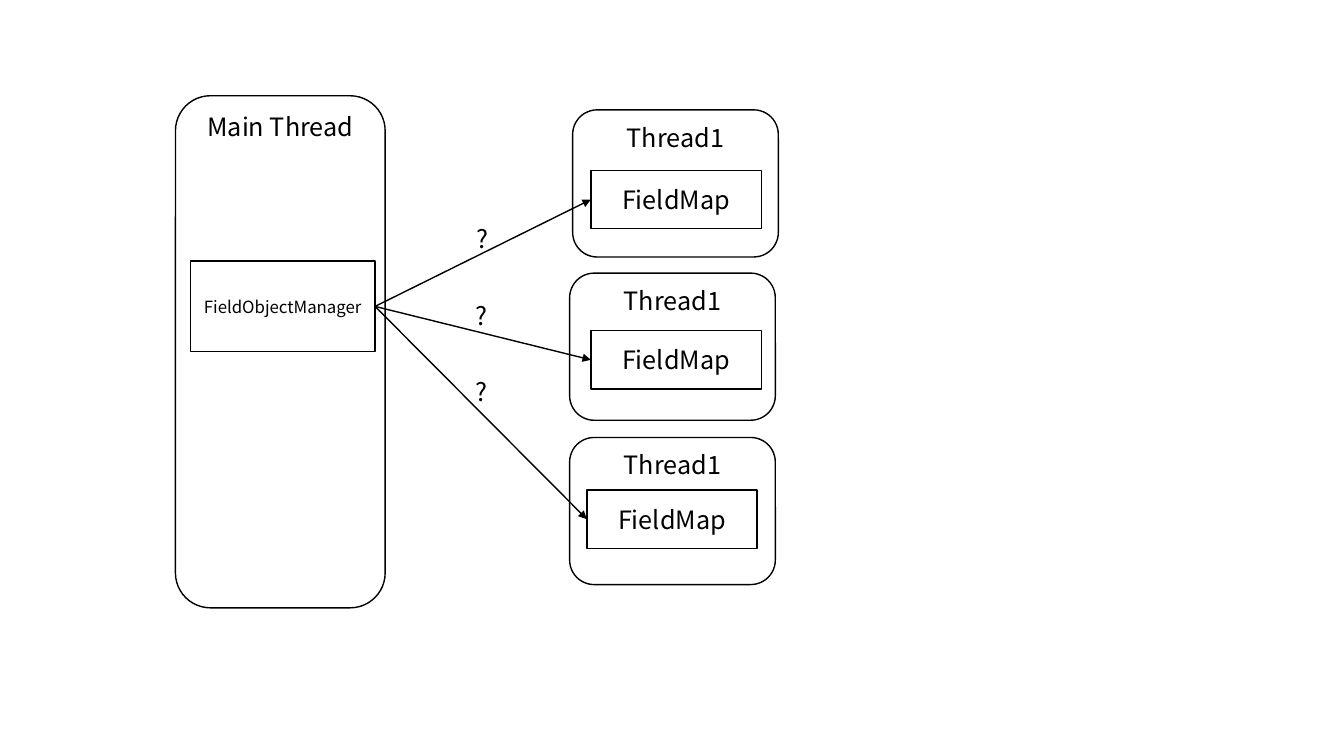
from lxml.etree import SubElement
from pptx import Presentation
from pptx.dml.color import RGBColor
from pptx.enum.shapes import MSO_CONNECTOR, MSO_SHAPE
from pptx.enum.text import MSO_ANCHOR, MSO_AUTO_SIZE, PP_ALIGN
from pptx.oxml.ns import qn
from pptx.util import Inches, Pt

FONT = "Noto Sans CJK KR"
BLACK = "000000"
WHITE = "FFFFFF"
RIGHT_SITE, LEFT_SITE = 3, 1
THREADS = [
    (5.68, 1.09, 5.86, 1.69, 4.63, 2.17),
    (5.65, 2.71, 5.86, 3.28, 4.62, 2.93),
    (5.65, 4.34, 5.82, 4.86, 4.62, 3.68),
]


def color(value):
    """Turn a hex string into a colour."""
    return RGBColor.from_string(value)


def write(shape, text, size, alignment):
    """Write one styled run into a shape."""
    paragraph = shape.text_frame.paragraphs[0]
    paragraph.alignment = alignment
    run = paragraph.add_run()
    run.text = text
    run.font.name = FONT
    run.font.size = Pt(size)
    run.font.color.rgb = color(BLACK)


def style_line(line):
    """Give a line the common black stroke."""
    line.color.rgb = color(BLACK)
    line.width = Pt(1)


def add_box(slide, kind, bounds, text, size, anchor):
    """Add an outlined white box with centred text."""
    shape = slide.shapes.add_shape(kind, *map(Inches, bounds))
    shape.shadow.inherit = False
    shape.fill.solid()
    shape.fill.fore_color.rgb = color(WHITE)
    style_line(shape.line)
    shape.text_frame.word_wrap = True
    shape.text_frame.vertical_anchor = anchor
    write(shape, text, size, PP_ALIGN.CENTER)
    return shape


def add_thread(slide, bounds, title):
    """Add a rounded thread frame titled at its top."""
    return add_box(slide, MSO_SHAPE.ROUNDED_RECTANGLE, bounds, title, 18, MSO_ANCHOR.TOP)


def add_object(slide, bounds, name, size):
    """Add a rectangle for an object living in a thread."""
    return add_box(slide, MSO_SHAPE.RECTANGLE, bounds, name, size, MSO_ANCHOR.MIDDLE)


def add_arrow(slide, source, target):
    """Connect the right side of one box to the left side of another."""
    connector = slide.shapes.add_connector(MSO_CONNECTOR.STRAIGHT, 0, 0, 0, 0)
    connector.begin_connect(source, RIGHT_SITE)
    connector.end_connect(target, LEFT_SITE)
    style_line(connector.line)
    properties = connector._element.spPr
    SubElement(properties.find(qn("a:ln")), qn("a:tailEnd"), type="triangle")
    SubElement(properties, qn("a:effectLst"))


def add_label(slide, left, top, text):
    """Add a small unwrapped text label."""
    label = slide.shapes.add_textbox(*map(Inches, (left, top, 0.32, 0.4)))
    label.text_frame.word_wrap = False
    label.text_frame.auto_size = MSO_AUTO_SIZE.SHAPE_TO_FIT_TEXT
    write(label, text, 18, PP_ALIGN.LEFT)


def main():
    """Build the thread diagram and save it."""
    presentation = Presentation()
    presentation.slide_width = Inches(13.33)
    presentation.slide_height = Inches(7.5)
    slide = presentation.slides.add_slide(presentation.slide_layouts[6])

    add_thread(slide, (1.74, 0.95, 2.08, 5.08), "Main Thread")
    manager = add_object(slide, (1.89, 2.59, 1.83, 0.9), "FieldObjectManager", 12)
    for thread_left, thread_top, map_left, map_top, label_left, label_top in THREADS:
        add_thread(slide, (thread_left, thread_top, 2.04, 1.46), "Thread1")
        field_map = add_object(slide, (map_left, map_top, 1.69, 0.58), "FieldMap", 18)
        add_arrow(slide, manager, field_map)
        add_label(slide, label_left, label_top, "?")

    presentation.save("out.pptx")


main()
